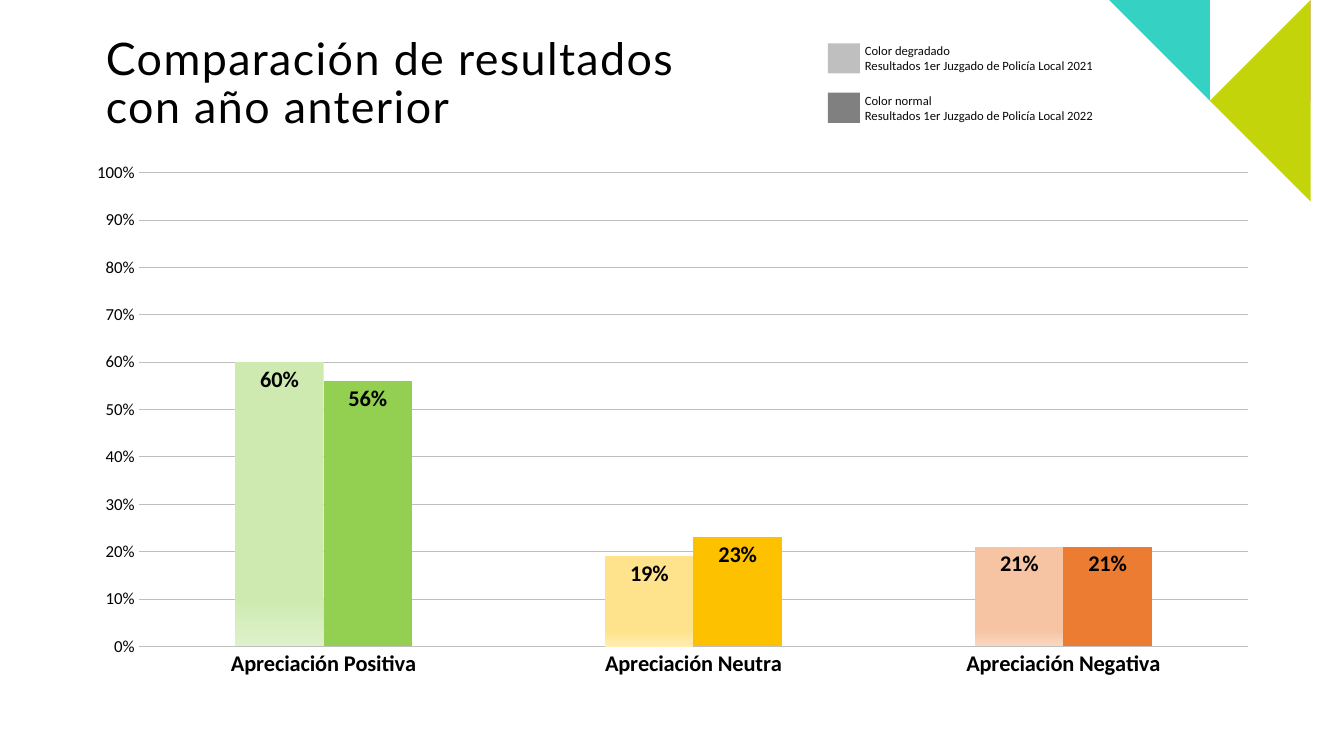
from lxml import etree
from pptx import Presentation
from pptx.chart.data import CategoryChartData
from pptx.dml.color import RGBColor
from pptx.enum.chart import XL_CHART_TYPE, XL_LABEL_POSITION, XL_TICK_MARK
from pptx.enum.shapes import MSO_SHAPE
from pptx.enum.text import MSO_ANCHOR, MSO_AUTO_SIZE, PP_ALIGN
from pptx.oxml import parse_xml
from pptx.oxml.ns import nsdecls, qn
from pptx.util import Inches, Pt

BLACK = RGBColor(0x00, 0x00, 0x00)
INK = RGBColor(0x07, 0x08, 0x0B)
LIGHT_GREY = RGBColor(0xBF, 0xBF, 0xBF)
DARK_GREY = RGBColor(0x80, 0x80, 0x80)
LIME = RGBColor(0xC4, 0xD4, 0x0A)
MAGENTA = RGBColor(0xCE, 0x00, 0x9F)
TURQUOISE = RGBColor(0x35, 0xD2, 0xC4)
SERIES_LIME = RGBColor(0xC3, 0xD6, 0x00)
GREEN = RGBColor(0x93, 0xD0, 0x51)
YELLOW = RGBColor(0xFE, 0xC1, 0x00)
ORANGE = RGBColor(0xEC, 0x7C, 0x31)
PALE_GREEN = RGBColor(0xCE, 0xEA, 0xB1), RGBColor(0xDF, 0xF1, 0xCB)
PALE_YELLOW = RGBColor(0xFF, 0xE3, 0x8C), RGBColor(0xFF, 0xED, 0xB2)
PALE_ORANGE = RGBColor(0xF6, 0xC4, 0xA2), RGBColor(0xF9, 0xD8, 0xC1)


def paint(shape, color):
    shape.shadow.inherit = False
    shape.fill.solid()
    shape.fill.fore_color.rgb = color
    shape.line.fill.background()


def fade_down(point, main, end):
    """Fill a chart point with a gradient that pales near its foot."""
    point.format.fill.gradient()
    gradient = point.format.fill._xPr.find(qn("a:gradFill"))
    stops = "".join(
        f'<a:gs pos="{position * 1000}"><a:srgbClr val="{color}"/></a:gs>'
        for position, color in ((74, main), (83, main), (100, end))
    )
    gradient.getparent().replace(gradient, parse_xml(
        f'<a:gradFill {nsdecls("a")}><a:gsLst>{stops}</a:gsLst>'
        '<a:lin ang="5400000" scaled="0"/></a:gradFill>'
    ))


deck = Presentation()
deck.slide_width = Inches(13.33)
deck.slide_height = Inches(7.5)
page = deck.slides.add_slide(deck.slide_layouts[5])

# Corner ornaments
ornaments = (
    (LIME, [(13.33, 2.01), (13.33, 1.19), (12.51, 0.37), (12.09, 0.78)]),
    (MAGENTA, [(13.33, 0.8), (13.33, 0), (12.53, 0)]),
    (TURQUOISE, [(10.87, 0), (11.68, 0.8), (12.49, 0)]),
)
for color, corners in ornaments:
    outline = page.shapes.build_freeform(*corners[0], scale=Inches(1))
    outline.add_line_segments(corners[1:], close=True)
    paint(outline.convert_to_shape(), color)

# Title
title = page.shapes.title
title.left, title.top = Inches(1.05), Inches(0.36)
title.width, title.height = Inches(5.92), Inches(1.14)
frame = title.text_frame
frame.margin_left = frame.margin_right = frame.margin_top = frame.margin_bottom = 0
frame.vertical_anchor = MSO_ANCHOR.TOP
frame.word_wrap = True
frame.auto_size = MSO_AUTO_SIZE.NONE
frame.text = "Comparación de resultados con año anterior"
para = frame.paragraphs[0]
para.alignment = PP_ALIGN.LEFT
para.line_spacing = 0.9
para.font.name = "Lato"
para.font.size = Pt(32)
para.font.color.rgb = BLACK
para.runs[0].font._element.set("spc", "100")

# Chart
data = CategoryChartData(number_format="0%")
data.categories = ["Apreciación Positiva", "Apreciación Neutra", "Apreciación Negativa"]
data.add_series("Series 1", (0.6, 0.19, 0.21))
data.add_series("Series 2", (0.56, 0.23, 0.21))
chart = page.shapes.add_chart(
    XL_CHART_TYPE.COLUMN_CLUSTERED,
    Inches(0.72), Inches(1.5), Inches(11.9), Inches(5.34), data,
).chart
chart.has_title = False
chart.has_legend = False
chart.font.name = "Calibri"
chart.font.size = Pt(10)
chart.font.color.rgb = BLACK

plot = chart.plots[0]
plot.gap_width = 219
plot.overlap = 0
plot.vary_by_categories = False
for series, color in zip(plot.series, (TURQUOISE, SERIES_LIME)):
    series.format.fill.solid()
    series.format.fill.fore_color.rgb = color
    series.invert_if_negative = False
    labels = series.data_labels
    labels.show_value = True
    labels.position = XL_LABEL_POSITION.INSIDE_END
    labels.number_format = "0%"
    labels.number_format_is_linked = False
    labels.font.name = "Calibri"
    labels.font.size = Pt(16)
    labels.font.bold = True
    labels.font.color.rgb = BLACK

last_year, this_year = plot.series
for index, shades in enumerate((PALE_GREEN, PALE_YELLOW, PALE_ORANGE)):
    fade_down(last_year.points[index], *shades)
for index, color in enumerate((GREEN, YELLOW, ORANGE)):
    fill = this_year.points[index].format.fill
    fill.solid()
    fill.fore_color.rgb = color

for axis, size in ((chart.category_axis, 16), (chart.value_axis, 12)):
    axis.major_tick_mark = axis.minor_tick_mark = XL_TICK_MARK.NONE
    axis.tick_labels.font.name = "Calibri"
    axis.tick_labels.font.size = Pt(size)
    axis.tick_labels.font.color.rgb = BLACK
chart.category_axis.tick_labels.font.bold = True
chart.category_axis.format.line.color.rgb = LIGHT_GREY
chart.category_axis.format.line.width = Pt(0.75)

values = chart.value_axis
values.minimum_scale, values.maximum_scale, values.major_unit = 0, 1, 0.1
values.tick_labels.number_format = "0%"
values.tick_labels.number_format_is_linked = False
values.format.line.fill.background()
values.major_gridlines.format.line.color.rgb = LIGHT_GREY
values.major_gridlines.format.line.width = Pt(0.5)

plot_area = chart._chartSpace.chart.plotArea
for old_layout in plot_area.findall(qn("c:layout")):
    plot_area.remove(old_layout)
layout = etree.Element(qn("c:layout"))
manual = etree.SubElement(layout, qn("c:manualLayout"))
for tag, value in (("layoutTarget", "inner"), ("xMode", "edge"), ("yMode", "edge"),
                   ("x", "0.055"), ("y", "0.04"), ("w", "0.925"), ("h", "0.88")):
    etree.SubElement(manual, qn(f"c:{tag}")).set("val", value)
plot_area.insert(0, layout)

# Colour key
key = (
    (LIGHT_GREY, "Color degradado", "Resultados 1er Juzgado de Policía Local 2021"),
    (DARK_GREY, "Color normal", "Resultados 1er Juzgado de Policía Local 2022"),
)
for row, (color, *lines) in enumerate(key):
    top = 0.43 + 0.49 * row
    swatch = page.shapes.add_shape(
        MSO_SHAPE.RECTANGLE, Inches(8.21), Inches(top), Inches(0.32), Inches(0.3))
    paint(swatch, color)
    box = page.shapes.add_textbox(
        Inches(8.48), Inches(top - 0.05), Inches(3.16), Inches(0.4))
    box.text_frame.word_wrap = True
    box.text_frame.auto_size = MSO_AUTO_SIZE.SHAPE_TO_FIT_TEXT
    box.text_frame.text = "\n".join(lines)
    for para in box.text_frame.paragraphs:
        para.font.name = "Calibri"
        para.font.size = Pt(9)
        para.font.color.rgb = INK

deck.save("out.pptx")
